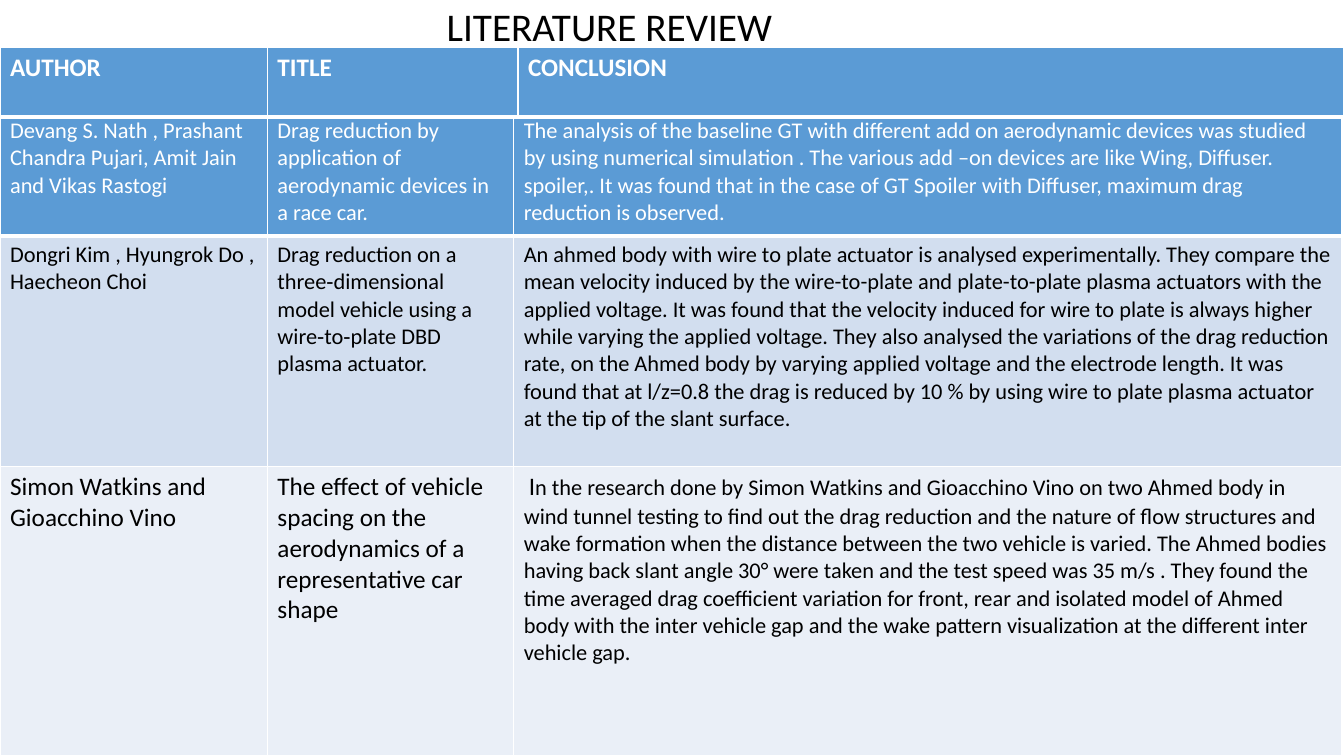
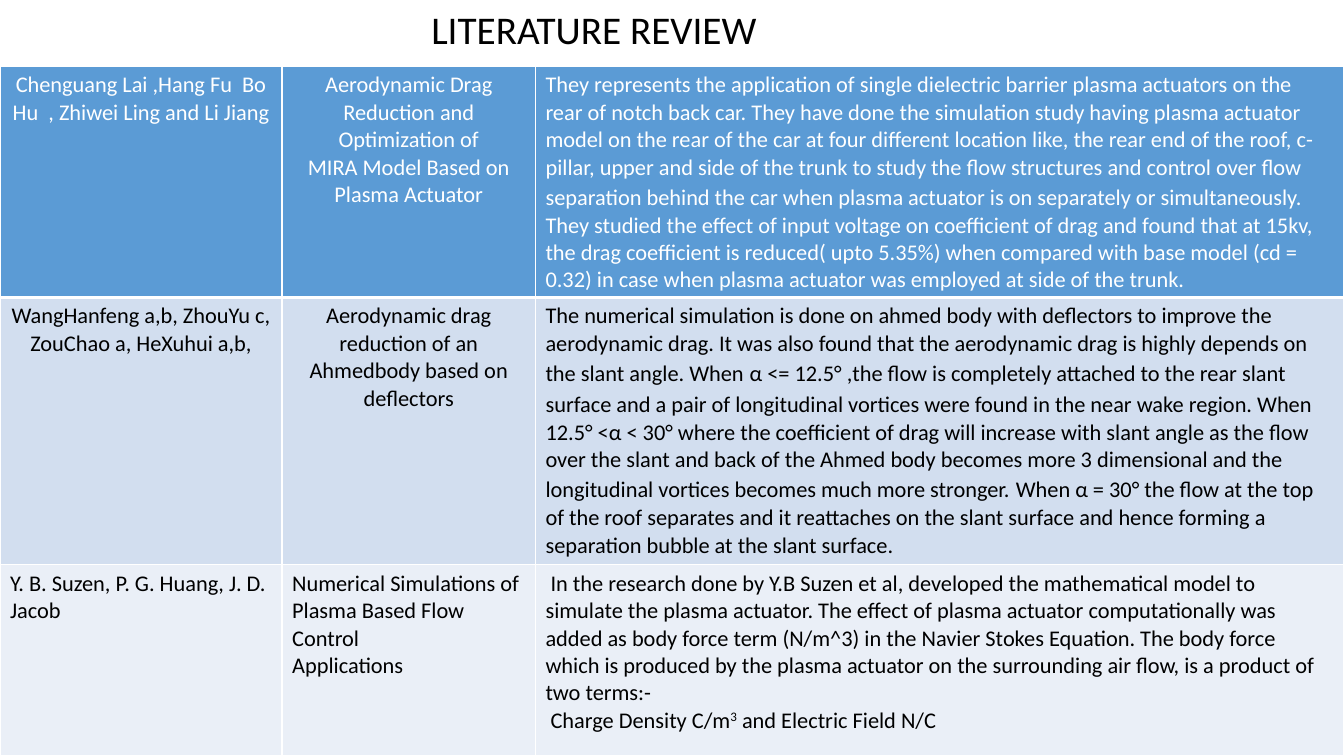
import pptx
import pptx.util
import pptx.dml.color
import pptx.enum.text
import pptx.oxml
import pptx.oxml.ns

Pt = pptx.util.Pt
RGB = pptx.dml.color.RGBColor
ALIGN = pptx.enum.text.PP_ALIGN

# Shared style
FONT = "Calibri"
BLACK = RGB(0x00, 0x00, 0x00)
WHITE = RGB(0xFF, 0xFF, 0xFF)
BLUE = RGB(0x5B, 0x9B, 0xD5)
BAND = RGB(0xD2, 0xDE, 0xEF)
PALE = RGB(0xEA, 0xEF, 0xF7)
ROWS = [(BLUE, WHITE), (BAND, BLACK), (PALE, BLACK)]
WIDE, HIGH = 960, 540

# Runs that differ from the text around them: text, size, raise
GAP = (" ", 18, 0)
CAP = ("I", 18, 0)
CUBE = ("3", 16, 30)


def cell(*paras, size=16, align=ALIGN.LEFT, indent=0, bold=False):
    """Describe a cell; a paragraph is a string or a list of runs."""
    return dict(paras=paras, size=size, align=align, indent=indent, bold=bold)


def mid(*paras):
    return cell(*paras, align=ALIGN.CENTER)


def edge(item, side, width):
    """Draw one white cell border."""
    props = item._tc.get_or_add_tcPr()
    props.append(pptx.oxml.parse_xml(
        f'<a:ln{side} {pptx.oxml.ns.nsdecls("a")} w="{Pt(width)}">'
        f'<a:solidFill><a:srgbClr val="{WHITE}"/></a:solidFill></a:ln{side}>'))


def write(frame, data, color):
    """Fill a text frame with the described paragraphs."""
    for i, runs in enumerate(data["paras"]):
        para = frame.paragraphs[0] if i == 0 else frame.add_paragraph()
        para.alignment = data["align"]
        if data["indent"]:
            props = para._p.get_or_add_pPr()
            props.set("marL", "0")
            props.set("indent", str(Pt(data["indent"])))
        font = para.font
        font.name, font.size, font.bold = FONT, Pt(data["size"]), data["bold"]
        font.color.rgb = color
        for part in [runs] if isinstance(runs, str) else runs:
            text, size, rise = (part, data["size"], 0) if isinstance(part, str) else part
            run = para.add_run()
            run.text = text
            run.font.name, run.font.size = FONT, Pt(size)
            run.font.bold = data["bold"]
            run.font.color.rgb = color
            if rise:
                run._r.get_or_add_rPr().set("baseline", str(rise * 1000))


def title(slide, left, top):
    box = slide.shapes.add_textbox(Pt(left), Pt(top), Pt(255), Pt(36))
    frame = box.text_frame
    frame.word_wrap = False
    frame.margin_top = frame.margin_bottom = 0
    write(frame, cell("LITERATURE REVIEW", size=28), BLACK)


def grid(slide, top, cols, highs, body):
    """Place a full-width table with a thick rule below its first row."""
    shape = slide.shapes.add_table(len(body), len(cols), 0, Pt(top),
                                   Pt(sum(cols)), Pt(sum(highs)))
    table = shape.table
    table.first_row = table.horz_banding = False
    for col, width in zip(table.columns, cols):
        col.width = Pt(width)
    for r, (high, line) in enumerate(zip(highs, body)):
        table.rows[r].height = Pt(high)
        fill, color = ROWS[r]
        for c, data in enumerate(line):
            item = table.cell(r, c)
            for side, width in (("L", 1), ("R", 1), ("T", 3 if r == 1 else 1),
                                ("B", 3 if r == 0 else 1)):
                edge(item, side, width)
            item.fill.solid()
            item.fill.fore_color.rgb = fill
            write(item.text_frame, data, color)


def page(deck, spot, top, cols, highs, body):
    """Add a slide; the last table row runs to the slide's foot."""
    slide = deck.slides.add_slide(deck.slide_layouts[6])
    title(slide, *spot)
    grid(slide, top, cols, highs + [HIGH - top - sum(highs)], body)
    return slide


# Papers on the first slide
HEAD = [[cell(name, size=18, bold=True) for name in ("AUTHOR", "TITLE", "CONCLUSION")]]

FIRST = [
    [
        cell("Devang S. Nath , Prashant Chandra Pujari, Amit Jain and Vikas Rastogi"),
        cell("Drag reduction by application of aerodynamic devices in a race car."),
        cell("The analysis of the baseline GT with different add on aerodynamic devices "
             "was studied by using numerical simulation . The various add –on devices are "
             "like Wing, Diffuser. spoiler,. It was found that in the case of GT Spoiler "
             "with Diffuser, maximum drag reduction is observed."),
    ],
    [
        cell("Dongri Kim , Hyungrok Do , Haecheon Choi"),
        cell("Drag reduction on a three‑dimensional model vehicle using a "
             "wire‑to‑plate DBD plasma actuator."),
        cell("An ahmed body with wire to plate actuator is analysed experimentally. They "
             "compare the mean velocity induced by the wire-to-plate and plate-to-plate "
             "plasma actuators with the applied voltage. It was found that the velocity "
             "induced for wire to plate is always higher while varying the applied "
             "voltage. They also analysed the variations of the drag reduction rate, on "
             "the Ahmed body by varying applied voltage and the electrode length. It was "
             "found that at l/z=0.8 the drag is reduced by 10 % by using wire to plate "
             "plasma actuator at the tip of the slant surface."),
    ],
    [
        cell("Simon Watkins and Gioacchino Vino", size=18),
        cell("The effect of vehicle spacing on the aerodynamics of a representative "
             "car shape", size=18),
        cell([CAP,
              "n the research done by Simon Watkins and Gioacchino Vino on two Ahmed body "
              "in wind tunnel testing to find out the drag reduction and the nature of "
              "flow structures and wake formation when the distance between the two "
              "vehicle is varied. The Ahmed bodies having back slant angle 30° were taken "
              "and the test speed was 35 m/s . They found the time averaged drag "
              "coefficient variation for front, rear and isolated model of Ahmed body "
              "with the inter vehicle gap and the wake pattern visualization at the "
              "different inter vehicle gap."], indent=3.6),
    ],
]

# Papers on the second slide
SECOND = [
    [
        mid("Chenguang Lai ,Hang Fu  Bo Hu  , Zhiwei Ling and Li Jiang"),
        mid("Aerodynamic Drag Reduction and Optimization of",
            "MIRA Model Based on Plasma Actuator"),
        cell(["They represents the application of single dielectric barrier plasma "
              "actuators on the rear of notch back car. They have done the simulation "
              "study having plasma actuator model on the rear of the car at four "
              "different location like, the rear end of the roof, c-pillar, upper and "
              "side of the trunk to study the flow structures and control over flow "
              "separation behind the car when plasma actuator is on separately or "
              "simultaneously.", GAP,
              "They studied the effect of input voltage on coefficient of drag and found "
              "that at 15kv, the drag coefficient is reduced( upto 5.35%) when compared "
              "with base model (cd = 0.32) in case when plasma actuator was employed at "
              "side of the trunk."]),
    ],
    [
        mid("WangHanfeng a,b, ZhouYu c, ZouChao a, HeXuhui a,b,"),
        mid("Aerodynamic drag reduction of an Ahmedbody based on deflectors"),
        cell(["The numerical simulation is done on ahmed body with deflectors to improve "
              "the aerodynamic drag. It was also found that the aerodynamic drag is "
              "highly depends on the slant angle. When", GAP,
              "α <= 12.5° ,the flow is completely attached to the rear slant surface and "
              "a pair of longitudinal vortices were found in the near wake region. When",
              GAP,
              "12.5° <α < 30° where the coefficient of drag will increase with slant "
              "angle as the flow over the slant and back of the Ahmed body becomes more "
              "3 dimensional and the longitudinal vortices becomes much more stronger.",
              GAP,
              "When α = 30° the flow at the top of the roof separates and it reattaches "
              "on the slant surface and hence forming a separation bubble at the slant "
              "surface."]),
    ],
    [
        cell("Y. B. Suzen, P. G. Huang, J. D. Jacob"),
        cell("Numerical Simulations of Plasma Based Flow Control", "Applications"),
        cell("In the research done by Y.B Suzen et al, developed the mathematical model "
             "to simulate the plasma actuator. The effect of plasma actuator "
             "computationally was added as body force term (N/m^3) in the Navier Stokes "
             "Equation. The body force which is produced by the plasma actuator on the "
             "surrounding air flow, is a product of two terms:-",
             ["Charge Density C/m", CUBE, " and Electric Field N/C"]),
    ],
]
SECOND[2][2]["indent"] = 3.6


def main():
    deck = pptx.Presentation()
    deck.slide_width, deck.slide_height = Pt(WIDE), Pt(HIGH)

    # First slide: the header row is a table of its own
    slide = page(deck, (312, 1.5), 80, [191, 176, 591], [88.5, 165], FIRST)
    grid(slide, 34, [191, 179, 590], [49.5], HEAD)

    # Second slide
    page(deck, (301, 3.6), 47.5, [201.5, 181, 577.5], [165, 191], SECOND)

    deck.save("out.pptx")


if __name__ == "__main__":
    main()
